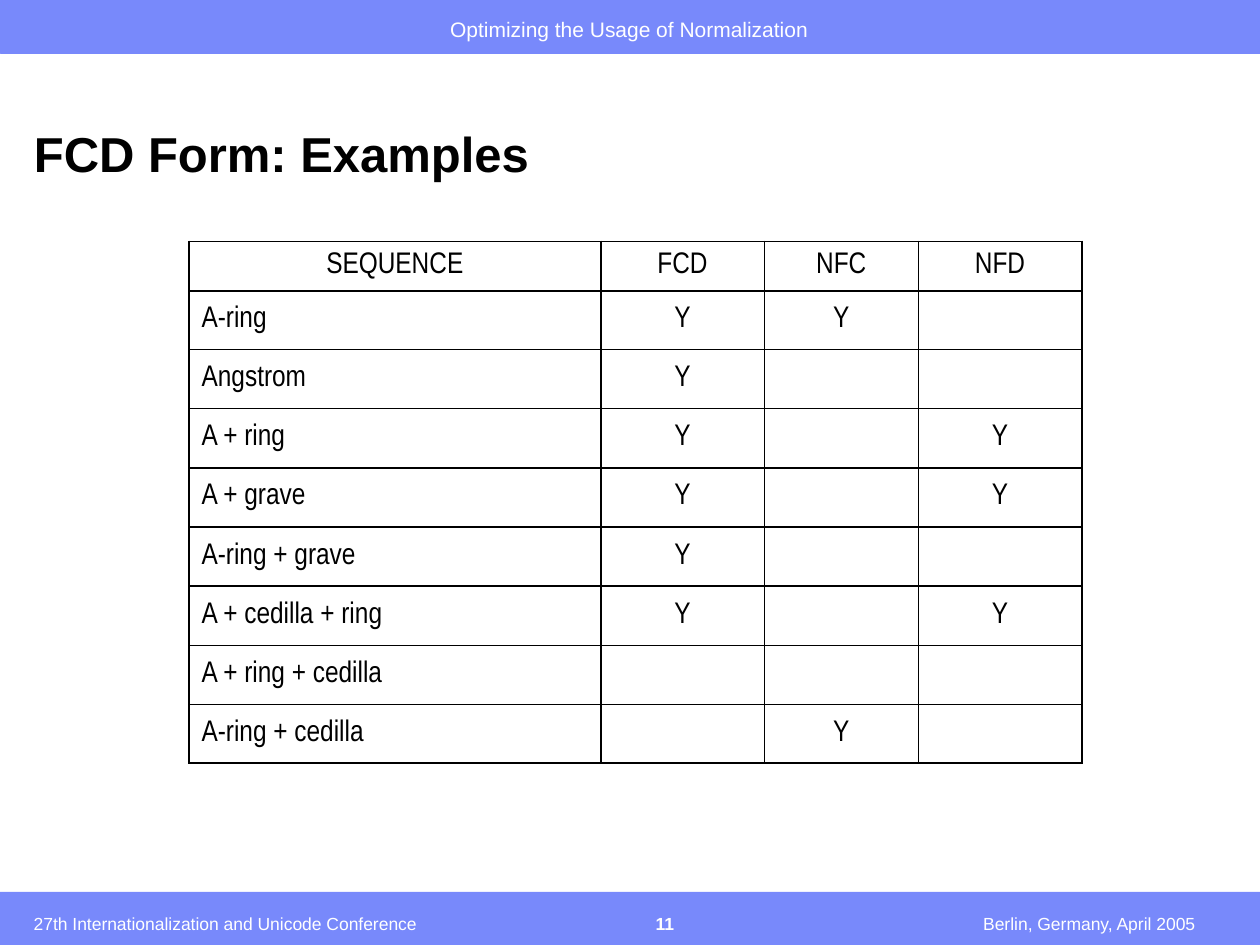
from lxml import etree
from pptx import Presentation
from pptx import util as u
from pptx.dml import color
from pptx.enum import shapes, text
from pptx.oxml import ns

BLUE, WHITE, BLACK = "7889FB", "FFFFFF", "000000"
LEFT, CENTER, RIGHT = text.PP_ALIGN.LEFT, text.PP_ALIGN.CENTER, text.PP_ALIGN.RIGHT
WIDTH, HEIGHT, BAND = 25.4, 19.05, 1.07

TITLE = "FCD Form: Examples"
LABELS = [
    ("Optimizing the Usage of Normalization", (7.39, 0.2, 10.59, 0.69),
     dict(size=12, align=CENTER, anchor=text.MSO_ANCHOR.TOP)),
    ("27th Internationalization and Unicode Conference", (0.43, 17.98, 10.59, 0.97),
     dict(size=10, align=LEFT)),
    ("11", (12.01, 18.06, 2.79, 0.89), dict(size=10, align=CENTER, bold=True)),
    ("Berlin, Germany, April 2005", (17.35, 18.06, 6.99, 0.89),
     dict(size=10, align=RIGHT)),
]
ROWS = [
    ("SEQUENCE", "FCD", "NFC", "NFD"),
    ("A-ring", "Y", "Y", ""),
    ("Angstrom", "Y", "", ""),
    ("A + ring", "Y", "", "Y"),
    ("A + grave", "Y", "", "Y"),
    ("A-ring + grave", "Y", "", ""),
    ("A + cedilla + ring", "Y", "", "Y"),
    ("A + ring + cedilla", "", "", ""),
    ("A-ring + cedilla", "", "Y", ""),
]
COLUMN_WIDTHS = [8.3, 3.3, 3.1, 3.3]
ROW_HEIGHTS = [0.99] + [1.19] * (len(ROWS) - 1)
THICK_ROW_EDGES = {0, 1, 4, 5, 6, 9}
THICK_COLUMN_EDGES = {0, 1, 4}


def rgb(value):
    return color.RGBColor.from_string(value)


def write(frame, words, size, align=LEFT, font="Arial", ink=WHITE, bold=False,
          anchor=text.MSO_ANCHOR.BOTTOM, spacing=None, after=None):
    frame.word_wrap = True
    frame.vertical_anchor = anchor
    para = frame.paragraphs[0]
    para.alignment = align
    para.line_spacing = spacing
    if after is not None:
        para.space_after = u.Pt(after)
    span = para.add_run()
    span.text = words
    span.font.name = font
    span.font.size = u.Pt(size)
    span.font.bold = bold
    span.font.color.rgb = rgb(ink)


def add_band(slide, top):
    band = slide.shapes.add_shape(shapes.MSO_SHAPE.RECTANGLE, 0, u.Cm(top),
                                  u.Cm(WIDTH), u.Cm(BAND))
    band.shadow.inherit = False
    band.fill.solid()
    band.fill.fore_color.rgb = rgb(BLUE)
    band.line.color.rgb = rgb(BLUE)
    band.line.width = u.Pt(0.25)


def set_borders(cell, row, column):
    edges = [("lnL", column in THICK_COLUMN_EDGES),
             ("lnR", column + 1 in THICK_COLUMN_EDGES),
             ("lnT", row in THICK_ROW_EDGES),
             ("lnB", row + 1 in THICK_ROW_EDGES)]
    properties = cell._tc.get_or_add_tcPr()
    for index, (tag, thick) in enumerate(edges):
        line = etree.Element(ns.qn(f"a:{tag}"), w=str(u.Pt(1.08 if thick else 0.45)))
        fill = etree.SubElement(line, ns.qn("a:solidFill"))
        etree.SubElement(fill, ns.qn("a:srgbClr"), val=BLACK)
        properties.insert(index, line)


def add_grid(slide):
    table = slide.shapes.add_table(
        len(ROWS), len(COLUMN_WIDTHS), u.Cm(3.81), u.Cm(4.87),
        u.Cm(sum(COLUMN_WIDTHS)), u.Cm(sum(ROW_HEIGHTS))).table
    table.first_row = table.horz_banding = False
    for column, width in zip(table.columns, COLUMN_WIDTHS):
        column.width = u.Cm(width)
    for r, (words, height) in enumerate(zip(ROWS, ROW_HEIGHTS)):
        table.rows[r].height = u.Cm(height)
        for c, word in enumerate(words):
            cell = table.cell(r, c)
            cell.fill.background()
            cell.margin_top = cell.margin_bottom = u.Cm(0.1)
            cell.vertical_anchor = text.MSO_ANCHOR.MIDDLE
            set_borders(cell, r, c)
            if word:
                write(cell.text_frame, word, 17, font="Arial Narrow", ink=BLACK,
                      align=LEFT if r and not c else CENTER,
                      anchor=None, after=3.1)


def main():
    deck = Presentation()
    deck.slide_width, deck.slide_height = u.Cm(WIDTH), u.Cm(HEIGHT)
    slide = deck.slides.add_slide(deck.slide_layouts[5])
    for top in (0, HEIGHT - BAND):
        add_band(slide, top)

    title = slide.shapes.title
    title.left, title.top, title.width, title.height = map(
        u.Cm, (0.43, 2.41, 22.91, 1.4))
    title.text_frame.auto_size = text.MSO_AUTO_SIZE.NONE
    write(title.text_frame, TITLE, 28, ink=BLACK, bold=True, spacing=0.9)

    add_grid(slide)
    for words, place, style in LABELS:
        box = slide.shapes.add_textbox(*map(u.Cm, place))
        write(box.text_frame, words, **style)
    deck.save("out.pptx")


if __name__ == "__main__":
    main()
